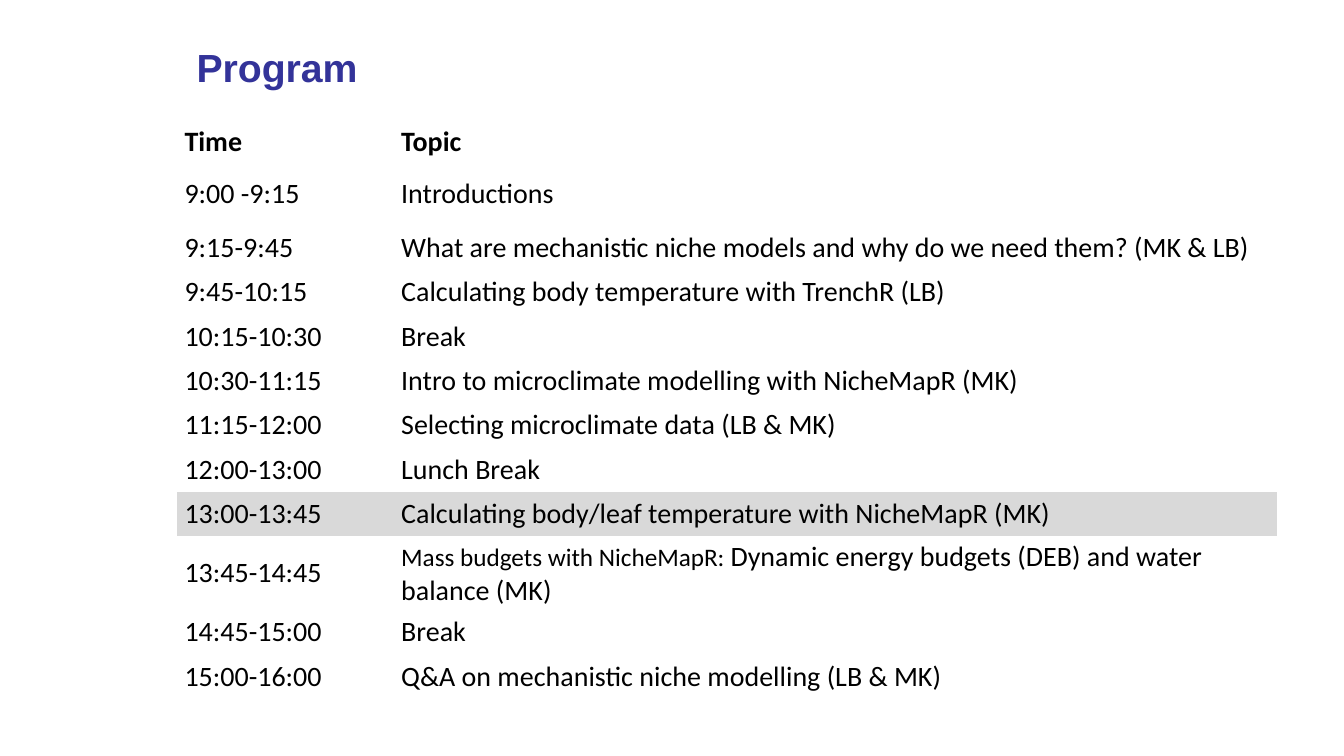
from dataclasses import dataclass

from pptx import Presentation
from pptx.dml.color import RGBColor
from pptx.enum.text import MSO_ANCHOR, MSO_AUTO_SIZE, PP_ALIGN
from pptx.slide import Slide
from pptx.table import _Cell
from pptx.text.text import _Paragraph
from pptx.util import Cm, Pt

BLACK = RGBColor(0x00, 0x00, 0x00)
TITLE_BLUE = RGBColor(0x33, 0x33, 0x99)
HIGHLIGHT_GREY = RGBColor(0xD9, 0xD9, 0xD9)
NO_STYLE_NO_GRID = "{2D5ABB26-0587-4C30-8999-92F81FD0307C}"
COLUMN_WIDTHS = (Cm(5.46), Cm(22.25))


@dataclass(frozen=True)
class Session:
    time: str
    topic: str
    lead_in: str = ""
    height: float = 1.12
    bold: bool = False
    highlighted: bool = False


PROGRAM = [
    Session("Time", "Topic", height=0.86, bold=True),
    Session("9:00 -9:15", "Introductions", height=1.6),
    Session("9:15-9:45", "What are mechanistic niche models and why do we need them? (MK & LB)"),
    Session("9:45-10:15", "Calculating body temperature with TrenchR (LB)"),
    Session("10:15-10:30", "Break"),
    Session("10:30-11:15", "Intro to microclimate modelling with NicheMapR (MK)"),
    Session("11:15-12:00", "Selecting microclimate data (LB & MK)"),
    Session("12:00-13:00", "Lunch Break"),
    Session("13:00-13:45", "Calculating body/leaf temperature with NicheMapR (MK)", highlighted=True),
    Session("13:45-14:45", "Dynamic energy budgets (DEB) and water balance (MK)",
            lead_in="Mass budgets with NicheMapR: "),
    Session("14:45-15:00", "Break"),
    Session("15:00-16:00", "Q&A on mechanistic niche modelling (LB & MK)"),
    Session("", ""),
]


def add_text(paragraph: _Paragraph, text: str, *, size: float = 20, bold: bool = False,
             name: str = "Calibri", color: RGBColor = BLACK) -> None:
    run = paragraph.add_run()
    run.text = text
    run.font.size = Pt(size)
    run.font.bold = bold
    run.font.name = name
    run.font.color.rgb = color


def format_cell(cell: _Cell, highlighted: bool) -> None:
    cell.vertical_anchor = MSO_ANCHOR.MIDDLE
    cell.margin_left = cell.margin_right = Cm(0.18)
    cell.margin_top = cell.margin_bottom = Cm(0.08)
    if highlighted:
        cell.fill.solid()
        cell.fill.fore_color.rgb = HIGHLIGHT_GREY
    else:
        cell.fill.background()


def add_title(slide: Slide) -> None:
    title = slide.shapes.title
    title.left, title.top, title.width, title.height = Cm(4.7), Cm(0.97), Cm(14.1), Cm(1.45)
    frame = title.text_frame
    frame.word_wrap = True
    frame.auto_size = MSO_AUTO_SIZE.SHAPE_TO_FIT_TEXT
    frame.vertical_anchor = MSO_ANCHOR.TOP
    paragraph = frame.paragraphs[0]
    paragraph.alignment = PP_ALIGN.LEFT
    add_text(paragraph, "Program", size=28, bold=True, name="Arial", color=TITLE_BLUE)


def add_program(slide: Slide) -> None:
    total_height = Cm(sum(session.height for session in PROGRAM))
    frame = slide.shapes.add_table(len(PROGRAM), len(COLUMN_WIDTHS), Cm(4.47), Cm(3.07),
                                   sum(COLUMN_WIDTHS), total_height)
    table = frame.table
    table.first_row = table.horz_banding = False
    table._tbl.tblPr.find("{*}tableStyleId").text = NO_STYLE_NO_GRID
    for column, width in zip(table.columns, COLUMN_WIDTHS):
        column.width = width
    for row, session in zip(table.rows, PROGRAM):
        row.height = Cm(session.height)
        for cell, text in zip(row.cells, (session.time, session.topic)):
            format_cell(cell, session.highlighted)
            paragraph = cell.text_frame.paragraphs[0]
            if session.lead_in and text == session.topic:
                add_text(paragraph, session.lead_in, size=18)
            if text:
                add_text(paragraph, text, bold=session.bold)


def main() -> None:
    presentation = Presentation()
    presentation.slide_width, presentation.slide_height = Cm(33.87), Cm(19.05)
    title_only = presentation.slide_layouts.get_by_name("Title Only")
    slide = presentation.slides.add_slide(title_only)
    add_title(slide)
    add_program(slide)
    presentation.save("out.pptx")


if __name__ == "__main__":
    main()
